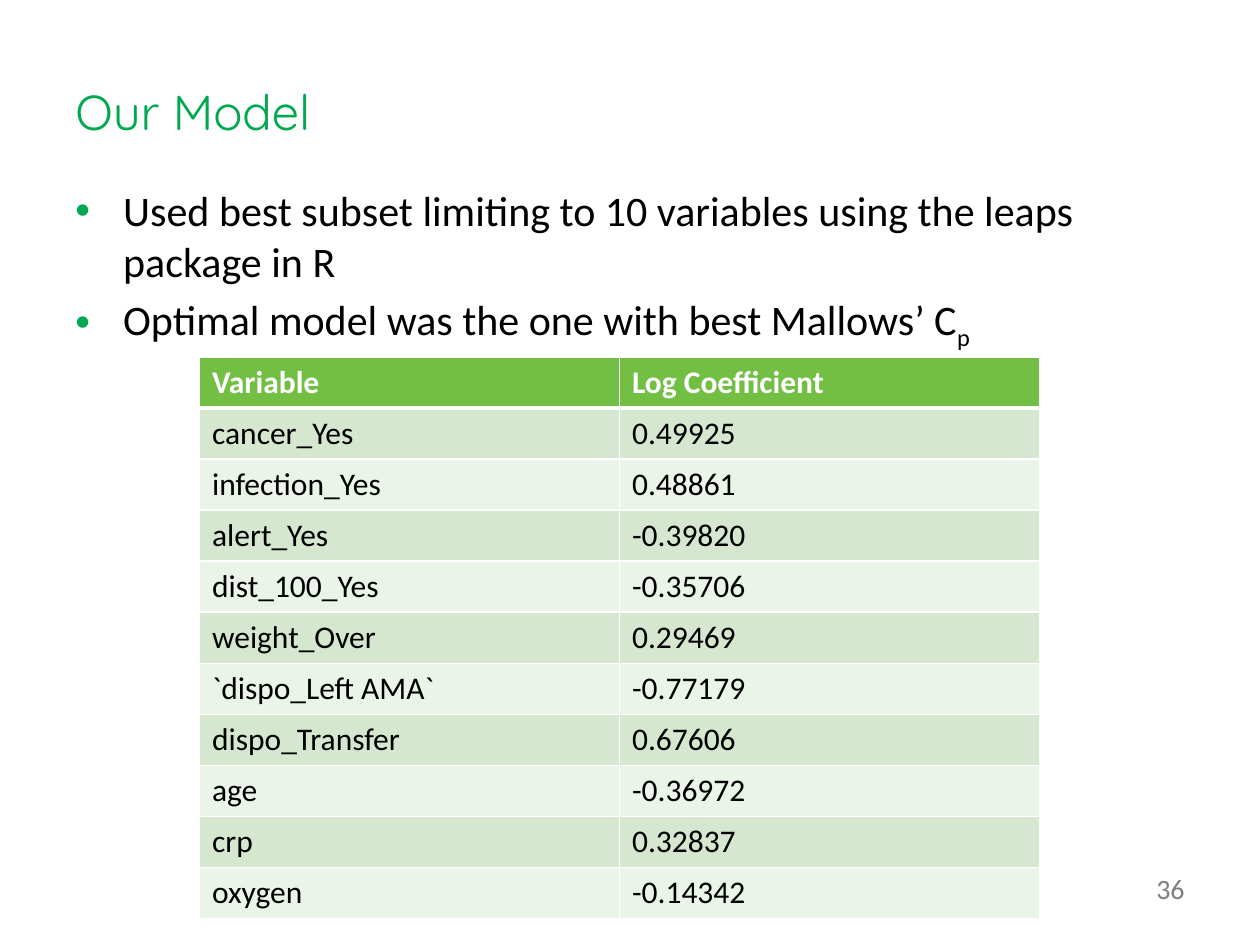
import pptx
import pptx.util
import pptx.dml.color
import pptx.enum.text
import pptx.oxml
import pptx.oxml.ns

COLORS = {
    "green": "00A94F",
    "header": "72BF44",
    "band_dark": "D5E8CF",
    "band_light": "EBF4E9",
    "text": "000000",
    "white": "FFFFFF",
    "grey": "7F7F7F",
}
BODY_FONT = "Calibri"
TITLE_FONT = "Quicksand"
COLUMNS, ROWS = 120, 90
SLIDE_WIDTH = pptx.util.Inches(10)
SLIDE_HEIGHT = pptx.util.Inches(7.5)
BULLET_INDENT = pptx.util.Inches(0.38)
ANCHOR = pptx.enum.text.MSO_ANCHOR
ALIGN = pptx.enum.text.PP_ALIGN

BULLETS = [
    [("Used best subset limiting to 10 variables using the leaps package in R", False)],
    [("Optimal model was the one with best Mallows’ C", False), ("p", True)],
]
COEFFICIENTS = [
    ("Variable", "Log Coefficient"),
    ("cancer_Yes", "0.49925"),
    ("infection_Yes", "0.48861"),
    ("alert_Yes", "-0.39820"),
    ("dist_100_Yes", "-0.35706"),
    ("weight_Over", "0.29469"),
    ("`dispo_Left AMA`", "-0.77179"),
    ("dispo_Transfer", "0.67606"),
    ("age", "-0.36972"),
    ("crp", "0.32837"),
    ("oxygen", "-0.14342"),
]


def grid(box):
    left, top, width, height = box
    return (
        int(SLIDE_WIDTH * left / COLUMNS),
        int(SLIDE_HEIGHT * top / ROWS),
        int(SLIDE_WIDTH * width / COLUMNS),
        int(SLIDE_HEIGHT * height / ROWS),
    )


def rgb(name):
    return pptx.dml.color.RGBColor.from_string(COLORS[name])


def add_span(para, text, size, color, font=BODY_FONT, bold=False):
    span = para.add_run()
    span.text = text
    span.font.size = pptx.util.Pt(size)
    span.font.name = font
    span.font.bold = bold
    span.font.color.rgb = rgb(color)
    return span


def add_text_frame(page, box, anchor):
    frame = page.shapes.add_textbox(*grid(box)).text_frame
    frame.word_wrap = True
    frame.vertical_anchor = anchor
    return frame


def add_xml(parent, tag, inner="", **attributes):
    listed = "".join(f' {name}="{value}"' for name, value in attributes.items())
    namespace = pptx.oxml.ns.nsdecls("a")
    parent.append(pptx.oxml.parse_xml(f"<a:{tag} {namespace}{listed}>{inner}</a:{tag}>"))


def add_title(page, box):
    frame = add_text_frame(page, box, ANCHOR.BOTTOM)
    add_span(frame.paragraphs[0], "Our Model", 28, "green", TITLE_FONT)


def add_bullets(page, box):
    frame = add_text_frame(page, box, ANCHOR.TOP)
    for index, spans in enumerate(BULLETS):
        para = frame.add_paragraph() if index else frame.paragraphs[0]
        if index:
            para.space_before = pptx.util.Pt(4.8)
        properties = para._p.get_or_add_pPr()
        properties.set("marL", str(BULLET_INDENT))
        properties.set("indent", str(-BULLET_INDENT))
        add_xml(properties, "buClr", f'<a:srgbClr val="{COLORS["green"]}"/>')
        add_xml(properties, "buFont", typeface="Arial")
        add_xml(properties, "buChar", char="•")
        for text, subscript in spans:
            span = add_span(para, text, 24, "text")
            if subscript:
                span.font._element.set("baseline", "-25000")


def add_borders(cell, row):
    points = {"lnL": 1, "lnR": 1, "lnT": 3 if row == 1 else 1, "lnB": 3 if row == 0 else 1}
    line_fill = f'<a:solidFill><a:srgbClr val="{COLORS["white"]}"/></a:solidFill>'
    for side, width in points.items():
        add_xml(cell._tc.get_or_add_tcPr(), side, line_fill, w=pptx.util.Pt(width))


def add_coefficient_table(page, box):
    table = page.shapes.add_table(len(COEFFICIENTS), 2, *grid(box)).table
    for row, values in enumerate(COEFFICIENTS):
        header = row == 0
        fill = "header" if header else ("band_light", "band_dark")[row % 2]
        for column, value in enumerate(values):
            cell = table.cell(row, column)
            add_borders(cell, row)
            cell.fill.solid()
            cell.fill.fore_color.rgb = rgb(fill)
            color = "white" if header else "text"
            add_span(cell.text_frame.paragraphs[0], value, 18, color, bold=header)


def add_page_number(page, box):
    para = add_text_frame(page, box, ANCHOR.MIDDLE).paragraphs[0]
    para.alignment = ALIGN.RIGHT
    add_span(para, "36", 16, "grey")


def main():
    deck = pptx.Presentation()
    deck.slide_width, deck.slide_height = SLIDE_WIDTH, SLIDE_HEIGHT
    page = deck.slides.add_slide(deck.slide_layouts[6])
    add_page_number(page, (104, 82.2, 10, 4.8))
    add_title(page, (6, 3.6, 108, 10.4))
    add_bullets(page, (6, 17, 108, 65))
    add_coefficient_table(page, (19, 34, 80, 53.5))
    deck.save("out.pptx")


if __name__ == "__main__":
    main()
